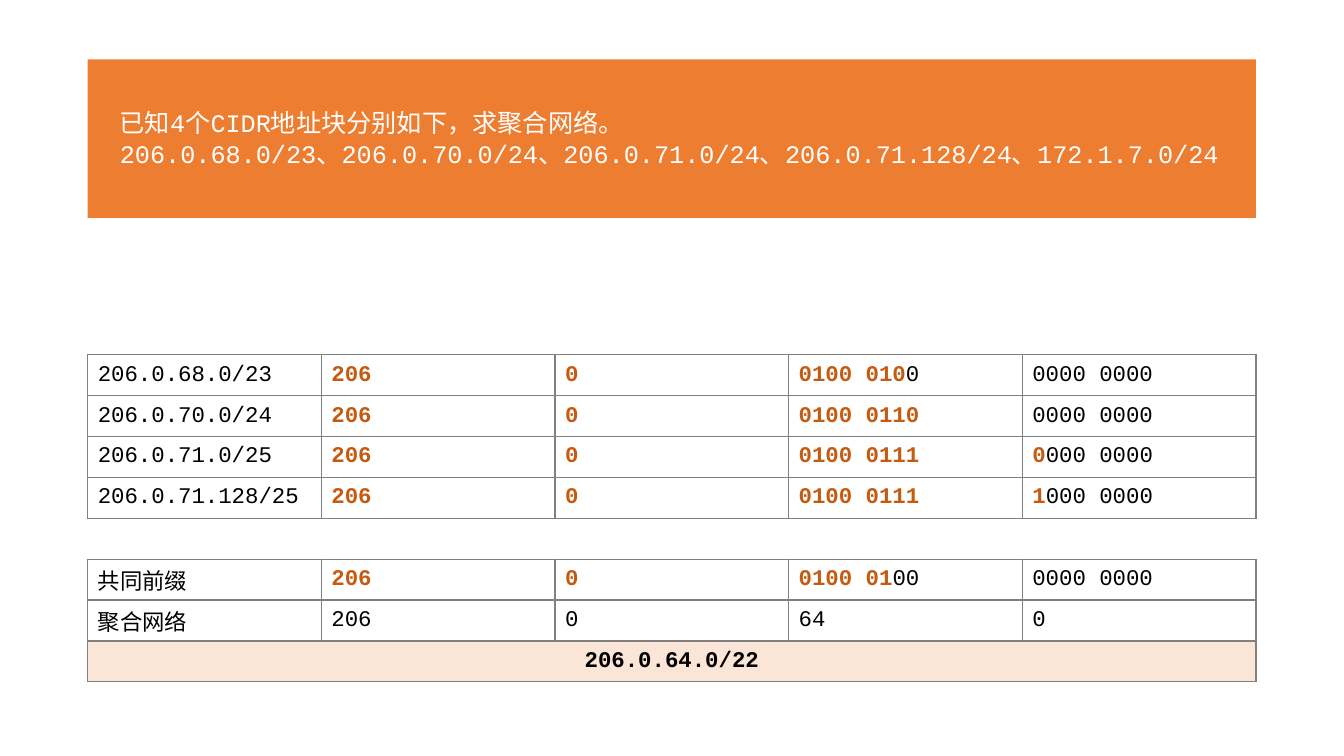
from lxml import etree
from pptx import Presentation
from pptx import util as u
from pptx.dml.color import RGBColor
from pptx.enum import shapes, text
from pptx.oxml import ns

HUES = {"banner": "ED7D31", "white": "FFFFFF", "black": "000000",
        "prefix": "C55A11", "result": "FBE5D6", "grid": "808080"}
FONT = "Courier New"
LEFT, WIDTH = u.Cm(2.21), u.Cm(29.44)
TASK = ("已知4个CIDR地址块分别如下，求聚合网络。",
        "206.0.68.0/23、206.0.70.0/24、206.0.71.0/24、206.0.71.128/24、172.1.7.0/24")
ROWS = [
    ("206.0.68.0/23", "206|", "0|", "0100 010|0", "0000 0000"),
    ("206.0.70.0/24", "206|", "0|", "0100 0110|", "0000 0000"),
    ("206.0.71.0/25", "206|", "0|", "0100 0111|", "0|000 0000"),
    ("206.0.71.128/25", "206|", "0|", "0100 0111|", "1|000 0000"),
    ("",) * 5,
    ("共同前缀", "206|", "0|", "0100 01|00", "0000 0000"),
    ("聚合网络", "206", "0", "64", "0"),
]
RESULT = "206.0.64.0/22"


def color(name):
    """Return a named colour."""
    return RGBColor.from_string(HUES[name])


def style(run, size, hue, bold=False):
    """Set the font of a run."""
    run.font.name = FONT
    run.font.size = u.Pt(size)
    run.font.bold = bold
    run.font.color.rgb = color(hue)


def add_banner(slide):
    """Draw the orange block behind the task."""
    block = slide.shapes.add_shape(
        shapes.MSO_SHAPE.RECTANGLE, LEFT, u.Cm(1.5), WIDTH, u.Cm(3.99))
    block.shadow.inherit = False
    block.fill.solid()
    block.fill.fore_color.rgb = color("banner")
    block.line.fill.background()


def add_task(slide):
    """Write the task text."""
    box = slide.shapes.add_textbox(u.Cm(2.77), u.Cm(2.59), u.Cm(28.35), u.Cm(1.8))
    frame = box.text_frame
    frame.word_wrap = True
    frame.text = "\n".join(TASK)
    for para in frame.paragraphs:
        for run in para.runs:
            style(run, 18, "white")


def set_edge(cell, side, shown):
    """Draw or hide one border of a cell."""
    props = cell._tc.get_or_add_tcPr()
    line = etree.SubElement(props, ns.qn("a:ln" + side), w=str(u.Pt(1)))
    if shown:
        fill = etree.SubElement(line, ns.qn("a:solidFill"))
        etree.SubElement(fill, ns.qn("a:srgbClr"), val=HUES["grid"])
    else:
        etree.SubElement(line, ns.qn("a:noFill"))


def set_cell(cell, value):
    """Fill a cell, with the part before the bar as a bold prefix."""
    blank = not value
    for side in "LRTB":
        set_edge(cell, side, side in "TB" or not blank)
    cell.fill.background()
    cell.vertical_anchor = text.MSO_ANCHOR.MIDDLE
    cell.margin_top = cell.margin_bottom = 0
    para = cell.text_frame.paragraphs[0]
    if blank:
        para.font.size = u.Pt(16)
    head, bar, tail = value.partition("|")
    parts = [(head, "prefix", True), (tail, "black", False)] if bar else [
        (head, "black", False)]
    for part, hue, bold in parts:
        if part:
            run = para.add_run()
            run.text = part
            style(run, 16, hue, bold)


def add_grid(slide):
    """Add the table of prefixes and the merged result row."""
    count = len(ROWS) + 1
    table = slide.shapes.add_table(
        count, 5, LEFT, u.Cm(8.94), WIDTH, u.Cm(8.24)).table
    table.first_row = table.horz_banding = False
    for r, row in enumerate(ROWS):
        for c, value in enumerate(row):
            set_cell(table.cell(r, c), value)
    last = count - 1
    total = table.cell(last, 0)
    total.merge(table.cell(last, 4))
    for c in range(5):
        for side in "LRTB":
            set_edge(table.cell(last, c), side, True)
    total.fill.solid()
    total.fill.fore_color.rgb = color("result")
    total.vertical_anchor = text.MSO_ANCHOR.MIDDLE
    total.text_frame.text = RESULT
    para = total.text_frame.paragraphs[0]
    para.alignment = text.PP_ALIGN.CENTER
    style(para.runs[0], 16, "black", True)


def main():
    """Build the slide and save it."""
    deck = Presentation()
    deck.slide_width, deck.slide_height = u.Cm(33.87), u.Cm(19.05)
    slide = deck.slides.add_slide(deck.slide_layouts[6])
    add_banner(slide)
    add_task(slide)
    add_grid(slide)
    deck.save("out.pptx")


if __name__ == "__main__":
    main()
